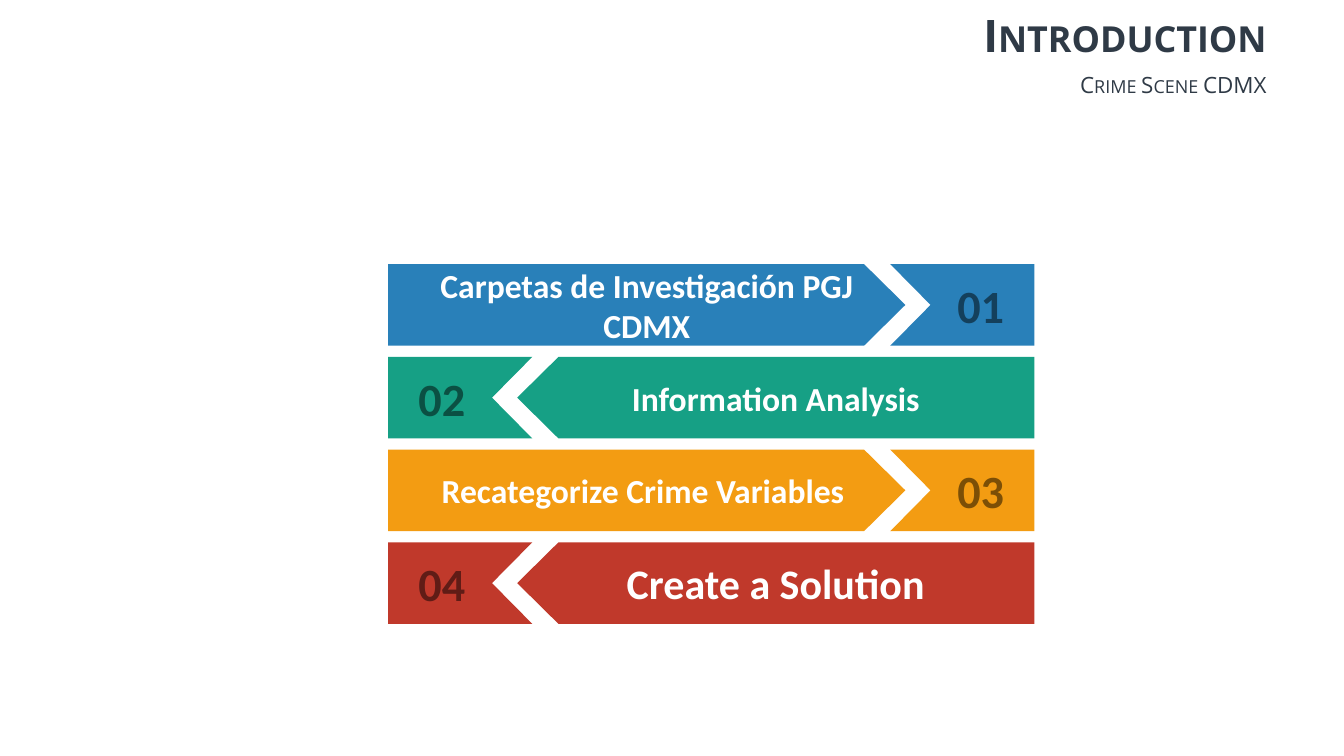
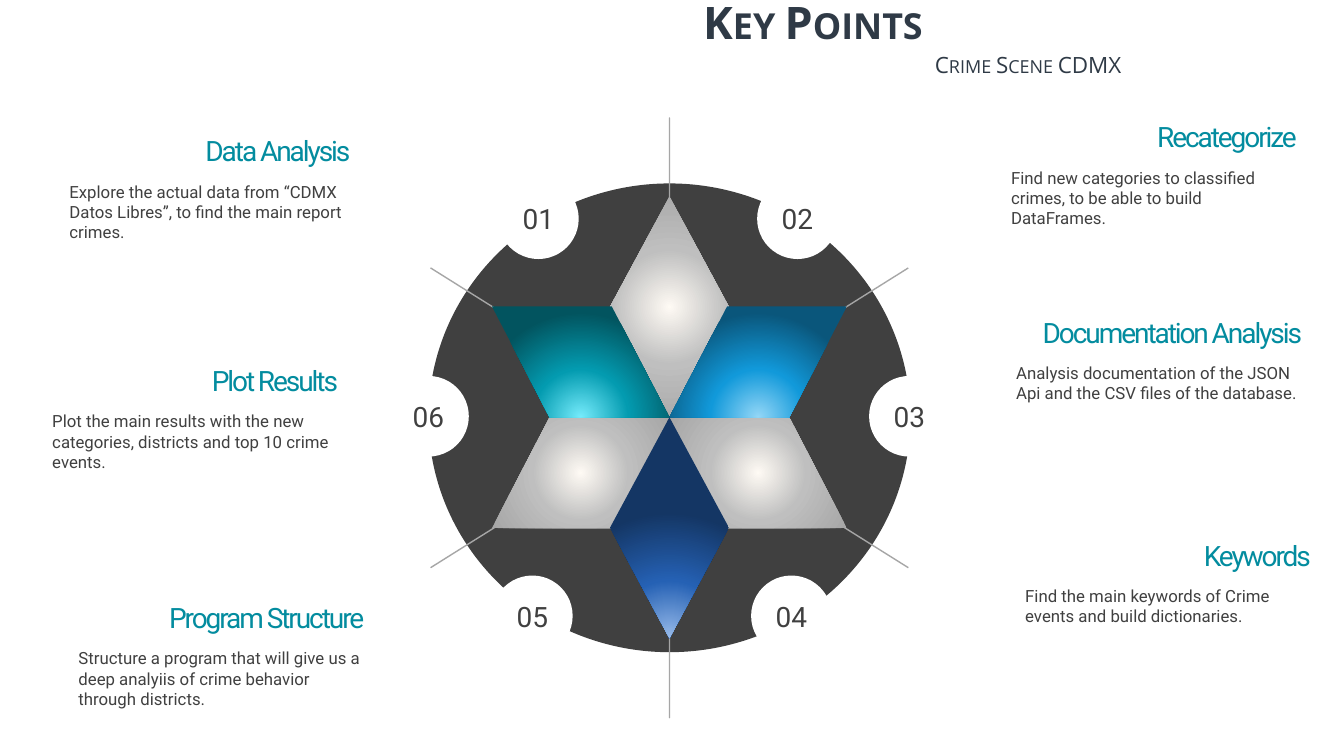
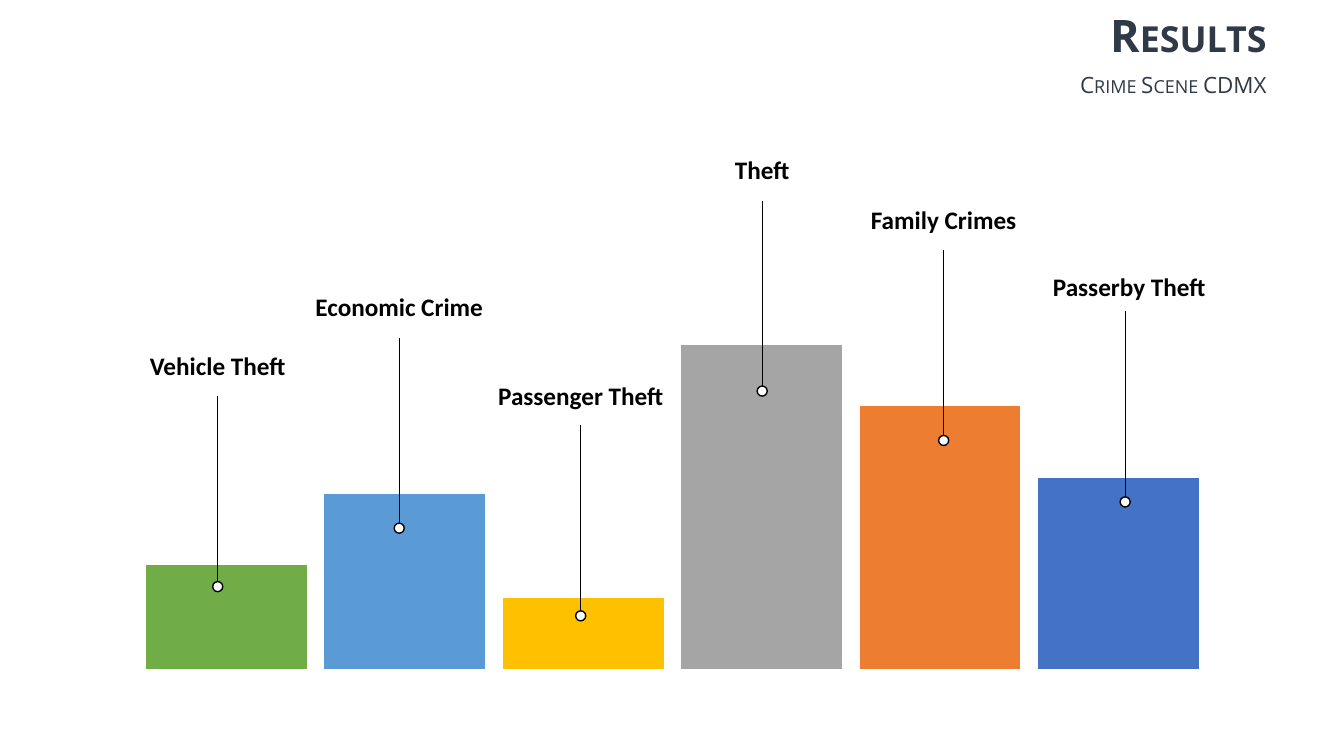
from lxml import etree
from pptx import Presentation
from pptx.chart.data import CategoryChartData
from pptx.dml.color import RGBColor
from pptx.enum.chart import XL_CHART_TYPE
from pptx.enum.shapes import MSO_CONNECTOR, MSO_SHAPE
from pptx.enum.dml import MSO_LINE
from pptx.enum.text import MSO_ANCHOR, PP_ALIGN
from pptx.oxml.ns import qn
from pptx.util import Inches, Pt

LEFT, CENTER, RIGHT = PP_ALIGN.LEFT, PP_ALIGN.CENTER, PP_ALIGN.RIGHT
TOP, MIDDLE, BOTTOM = MSO_ANCHOR.TOP, MSO_ANCHOR.MIDDLE, MSO_ANCHOR.BOTTOM
OVAL, DIAMOND, SKEWED, STAR = (
    MSO_SHAPE.OVAL, MSO_SHAPE.DIAMOND, MSO_SHAPE.PARALLELOGRAM, MSO_SHAPE.STAR_6_POINT)
STRAIGHT = MSO_CONNECTOR.STRAIGHT
DOTTED = MSO_LINE.ROUND_DOT
COLUMNS = XL_CHART_TYPE.COLUMN_CLUSTERED

WHITE = RGBColor(0xFF, 0xFF, 0xFF)
BLACK = RGBColor(0x00, 0x00, 0x00)
SLATE = RGBColor(0x2F, 0x3A, 0x46)
CHARCOAL = RGBColor(0x40, 0x40, 0x40)
SILVER = RGBColor(0xA6, 0xA6, 0xA6)
TEAL = RGBColor(0x03, 0x8C, 0x9F)
BLUE, DEEP_BLUE = RGBColor(0x29, 0x80, 0xB9), RGBColor(0x14, 0x40, 0x5C)
GREEN, DEEP_GREEN = RGBColor(0x16, 0xA0, 0x85), RGBColor(0x0B, 0x50, 0x43)
AMBER, DEEP_AMBER = RGBColor(0xF3, 0x9C, 0x12), RGBColor(0x7C, 0x4F, 0x06)
RED, DEEP_RED = RGBColor(0xC0, 0x39, 0x2B), RGBColor(0x60, 0x1C, 0x16)
BAR_GREEN = RGBColor(0x70, 0xAD, 0x47)
BAR_SKY = RGBColor(0x5B, 0x9B, 0xD5)
BAR_GOLD = RGBColor(0xFF, 0xC0, 0x00)
BAR_GRAY = RGBColor(0xA5, 0xA5, 0xA5)
BAR_ORANGE = RGBColor(0xED, 0x7D, 0x31)
BAR_BLUE = RGBColor(0x44, 0x72, 0xC4)

GRAY_GLOW = ("FEFAF4", "BFBFBF", "A6A6A6")
SKY_GLOW = ("94D7F7", "1199DA", "0A567B")
TEAL_GLOW = ("76ECFC", "039BB0", "02545F")
NAVY_GLOW = ("98BBEA", "2561B4", "143664")
GLOW_STOPS = (0, 46, 100)

TITLE = {"name": "Open Sans", "size": Pt(32), "bold": True}
SUBTITLE = {"name": "Open Sans", "size": Pt(16)}
STEP_NUMBER = {"name": "Calibri", "size": Pt(33), "bold": True}
STEP = {"name": "Calibri", "size": Pt(24), "bold": True}
LAST_STEP = {"name": "Calibri", "size": Pt(30), "bold": True}
POINT_NUMBER = {"name": "Roboto", "size": Pt(20)}
POINT_BODY = {"name": "Roboto", "size": Pt(12)}
BAR_LABEL = {"name": "Calibri", "size": Pt(18), "bold": True}
CHART_FONT = {"name": "Calibri", "size": Pt(10)}

SUBTITLE_TEXT = "Crime Scene CDMX"
STEPS = [
    ("01", "Carpetas de Investigación PGJ CDMX", BLUE, DEEP_BLUE, STEP),
    ("02", "Information Analysis", GREEN, DEEP_GREEN, STEP),
    ("03", "Recategorize Crime Variables ", AMBER, DEEP_AMBER, STEP),
    ("04", "Create a Solution", RED, DEEP_RED, LAST_STEP),
]
BANNER = [(3.85, 0), (8.57, 0), (8.98, 0.5), (8.57, 1), (3.85, 1)]
TAIL = [(8.83, 0), (10.26, 0), (10.26, 1), (8.83, 1), (9.23, 0.5)]
MIRROR = 3.85 + 10.26

POINTS = [
    ("Data Analysis ", 0.53, 1.28,
     "Explore the actual data from “CDMX Datos Libres”, to find the main report crimes."),
    ("Recategorize", 9.87, 1.14,
     "Find new categories to classified crimes, to be able to build DataFrames."),
    ("Documentation Analysis", 9.92, 3.08,
     "Analysis documentation of the JSON Api and the CSV files of the database."),
    ("Keywords", 10.01, 5.29,
     "Find the main keywords of Crime events and build dictionaries."),
    ("Program Structure", 0.62, 5.91,
     "Structure a program that will give us a deep analyiis of crime behavior through districts."),
    ("Plot Results", 0.36, 3.56,
     "Plot the main results with the new categories, districts and top 10 crime events."),
]
NOTCHES = [(4.94, 1.77), (7.51, 1.77), (8.62, 3.73), (7.45, 5.71), (4.88, 5.71), (3.85, 3.73)]
HUB_X, HUB_Y = 6.64, 4.14
SKEW_SIZE, DIAMOND_SIZE = (1.76, 1.1), (1.18, 2.19)
FACETS = [
    (SKEWED, HUB_X - 1.76, HUB_Y, SKEW_SIZE, False, GRAY_GLOW, 50),
    (SKEWED, HUB_X, HUB_Y, SKEW_SIZE, True, GRAY_GLOW, 50),
    (DIAMOND, HUB_X - 0.59, HUB_Y - 2.19, DIAMOND_SIZE, False, GRAY_GLOW, 50),
    (SKEWED, HUB_X, HUB_Y - 1.1, SKEW_SIZE, False, SKY_GLOW, 130),
    (SKEWED, HUB_X - 1.76, HUB_Y - 1.1, SKEW_SIZE, True, TEAL_GLOW, 130),
    (DIAMOND, HUB_X - 0.59, HUB_Y, DIAMOND_SIZE, False, NAVY_GLOW, 130),
]

BARS = [
    ("Vehicle Theft", 32, BAR_GREEN, 5.77, 2.16, 3.42),
    ("Economic Crime", 54, BAR_SKY, 5.19, 3.96, 2.84),
    ("Passenger Theft", 22, BAR_GOLD, 6.06, 5.76, 3.72),
    ("Theft", 100, BAR_GRAY, 3.83, 7.56, 1.48),
    ("Family Crimes", 81, BAR_ORANGE, 4.32, 9.36, 1.98),
    ("Passerby Theft", 59, BAR_BLUE, 4.93, 11.2, 2.64),
]


def inches(*values):
    return [Inches(value) for value in values]


def set_font(font, style, color):
    for key, value in style.items():
        setattr(font, key, value)
    font.color.rgb = color


def write(shape, text, style, color, align=LEFT, anchor=MIDDLE, margins=None, extra=None):
    frame = shape.text_frame
    frame.word_wrap = True
    frame.vertical_anchor = anchor
    for side, value in (margins or {}).items():
        setattr(frame, "margin_" + side, Inches(value))
    para = frame.paragraphs[0]
    para.alignment = align
    span = para.add_run()
    span.text = text
    set_font(span.font, style, color)
    for key, value in (extra or {}).items():
        span.font._element.set(key, value)


def add_text(page, at, text, style, color, **options):
    write(page.shapes.add_textbox(*inches(*at)), text, style, color, **options)


def paint(shape, fill):
    shape.shadow.inherit = False
    shape.line.fill.background()
    if fill is not None:
        shape.fill.solid()
        shape.fill.fore_color.rgb = fill
    return shape


def add_preset(page, kind, at, fill=None):
    return paint(page.shapes.add_shape(kind, *inches(*at)), fill)


def add_outline(page, points, fill):
    corners = [tuple(inches(x, y)) for x, y in points]
    builder = page.shapes.build_freeform(*corners[0], scale=1.0)
    builder.add_line_segments(corners[1:], close=True)
    return paint(builder.convert_to_shape(), fill)


def add_glow(shape, colors, focus):
    glow = etree.Element(qn("a:gradFill"), rotWithShape="1")
    stops = etree.SubElement(glow, qn("a:gsLst"))
    for position, color in zip(GLOW_STOPS, colors):
        stop = etree.SubElement(stops, qn("a:gs"), pos=str(position * 1000))
        etree.SubElement(stop, qn("a:srgbClr"), val=color)
    circle = etree.SubElement(glow, qn("a:path"), path="circle")
    etree.SubElement(circle, qn("a:fillToRect"), l="50000", r="50000",
                     t=str(focus * 1000), b=str((100 - focus) * 1000))
    shape._element.spPr.find(qn("a:prstGeom")).addnext(glow)


def add_page(deck, title, title_at=(4.25, 0), subtitle_at=(4.25, 0.68)):
    page = deck.slides.add_slide(deck.slide_layouts[6])
    small = {"cap": "small"}
    add_text(page, (*title_at, 8.41, 0.68), title, TITLE, SLATE, align=RIGHT, extra=small)
    add_text(page, (*subtitle_at, 8.41, 0.31), SUBTITLE_TEXT, SUBTITLE, SLATE,
             align=RIGHT, extra=small)
    return page


def build_introduction(deck):
    page = add_page(deck, "Introduction")
    top, pitch, height = 2.62, 0.92, 0.81
    for row, (number, text, fill, dark, style) in enumerate(STEPS):
        mirrored = row % 2 == 1

        def place(points):
            return [(MIRROR - x if mirrored else x, top + row * pitch + y * height)
                    for x, y in points]

        near, far = ("left", "right") if mirrored else ("right", "left")
        margins = {near: 0.3, far: 0.1, "top": 0, "bottom": 0}
        write(add_outline(page, place(TAIL), fill), number, STEP_NUMBER, dark,
              align=LEFT if mirrored else RIGHT, margins=margins)
        write(add_outline(page, place(BANNER), fill), text, style, WHITE, align=CENTER)


def build_key_points(deck):
    page = add_page(deck, "Key Points", (0.84, -0.13), (2.81, 0.49))
    add_preset(page, OVAL, (4.25, 1.82, 4.78, 4.65), CHARCOAL)
    spokes = add_preset(page, STAR, (4.27, 1.17, 4.74, 5.95))
    spokes.fill.background()
    spokes.adjustments[0] = 0
    spokes.line.color.rgb = SILVER
    spokes.line.width = Pt(1)
    spokes.line.dash_style = DOTTED
    for kind, left, top, size, flipped, colors, focus in FACETS:
        facet = add_preset(page, kind, (left, top, *size))
        if kind == SKEWED:
            facet.adjustments[0] = 0.52
        if flipped:
            facet._element.spPr.find(qn("a:xfrm")).set("flipH", "1")
        add_glow(facet, colors, focus)
    for index, (left, top) in enumerate(NOTCHES, 1):
        notch = add_preset(page, OVAL, (left, top, 0.8, 0.8), WHITE)
        write(notch, f"{index:02d}", POINT_NUMBER, CHARCOAL, align=CENTER)
    for heading, left, top, body in POINTS:
        add_text(page, (left, top, 3.09, 0.44), heading, POINT_NUMBER, TEAL,
                 align=RIGHT, anchor=TOP, extra={"spc": "-150"})
        add_text(page, (left + 0.06, top + 0.47, 3.03, 0.71), body, POINT_BODY, CHARCOAL,
                 anchor=TOP)


def add_bar_chart(page):
    data = CategoryChartData()
    data.categories = [str(index) for index in range(1, len(BARS) + 1)]
    data.add_series("Series 1", [bar[1] for bar in BARS])
    chart = page.shapes.add_chart(COLUMNS, *inches(1.14, 3.09, 11.06, 3.62), data).chart
    set_font(chart.font, CHART_FONT, BLACK)
    chart.has_legend = chart.has_title = False
    chart.category_axis.visible = False
    axis = chart.value_axis
    scale = {"visible": False, "has_major_gridlines": False,
             "minimum_scale": 0, "maximum_scale": 108}
    for key, value in scale.items():
        setattr(axis, key, value)
    plot = chart.plots[0]
    for key, value in {"gap_width": 11, "overlap": -27, "vary_by_categories": False}.items():
        setattr(plot, key, value)
    for index, bar in enumerate(BARS):
        fill = plot.series[0].points[index].format.fill
        fill.solid()
        fill.fore_color.rgb = bar[2]


def build_results(deck):
    page = add_page(deck, "Results")
    add_bar_chart(page)
    first, pitch, dot_size, stem, label_width = 2.16, 1.8, 0.1, 1.84, 2.1
    for index, (label, _, _, dot_top, label_center, label_top) in enumerate(BARS):
        center = first + index * pitch
        dot = add_preset(page, OVAL, (center - dot_size / 2, dot_top, dot_size, dot_size), WHITE)
        dot.line.color.rgb = BLACK
        dot.line.width = Pt(1)
        line = page.shapes.add_connector(
            STRAIGHT, *inches(center, dot_top, center, dot_top - stem))
        line.begin_connect(dot, 0)
        line.line.color.rgb = BLACK
        line.line.width = Pt(0.5)
        etree.SubElement(line._element.spPr, qn("a:effectLst"))
        add_text(page, (label_center - label_width / 2, label_top, label_width, 0.4),
                 label, BAR_LABEL, BLACK, align=CENTER, anchor=BOTTOM)


def main():
    deck = Presentation()
    deck.slide_width, deck.slide_height = inches(13.33, 7.5)
    build_introduction(deck)
    build_key_points(deck)
    build_results(deck)
    deck.save("out.pptx")


if __name__ == "__main__":
    main()
